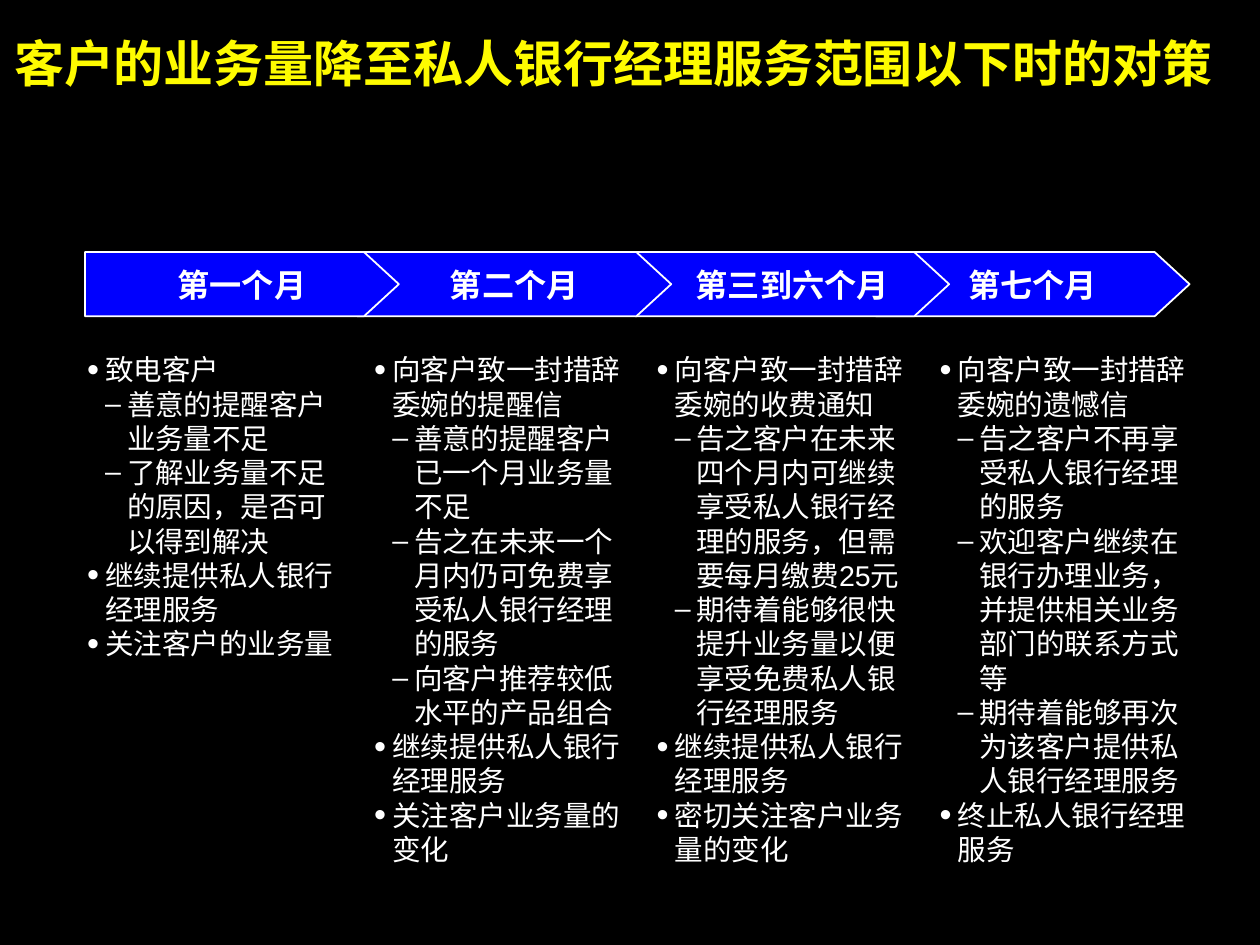
from lxml.etree import SubElement
from pptx import Presentation
from pptx.dml.color import RGBColor as RGB
from pptx.enum.text import MSO_ANCHOR as Anchor, PP_ALIGN as Align
from pptx.oxml.ns import qn
from pptx.util import Cm, Pt

WHITE, BLUE, GOLD, BLACK = "FFFFFF", "0000FE", "FEFB00", "000000"
HEAD = dict(size=Pt(28), bold=True, name="Arial")
STEP = dict(size=Pt(18), bold=True, name="Arial")
BODY = dict(size=Pt(16), bold=False, name="Arial")
FLAT = dict(margin_left=0, margin_top=0, margin_right=0, margin_bottom=0,
            word_wrap=True)
MARKS = {1: ("•", 0.38, -0.36, 120), 2: ("–", 0.81, -0.43, 100)}

TITLE = "客户的业务量降至私人银行经理服务范围以下时的对策"
STAGES = [
    ("第一个月", 1.68, 1.7, [
        (1, "致电客户"),
        (2, "善意的提醒客户业务量不足"),
        (2, "了解业务量不足的原因，是否可以得到解决"),
        (1, "继续提供私人银行经理服务"),
        (1, "关注客户的业务量")]),
    ("第二个月", 7.06, 7.37, [
        (1, "向客户致一封措辞委婉的提醒信"),
        (2, "善意的提醒客户已一个月业务量不足"),
        (2, "告之在未来一个月内仍可免费享受私人银行经理的服务"),
        (2, "向客户推荐较低水平的产品组合"),
        (1, "继续提供私人银行经理服务"),
        (1, "关注客户业务量的变化")]),
    ("第三到六个月", 12.55, 12.95, [
        (1, "向客户致一封措辞委婉的收费通知"),
        (2, "告之客户在未来四个月内可继续享受私人银行经理的服务，但需要每月缴费25元"),
        (2, "期待着能够很快提升业务量以便享受免费私人银行经理服务"),
        (1, "继续提供私人银行经理服务"),
        (1, "密切关注客户业务量的变化")]),
    ("第七个月", 17.3, 18.54, [
        (1, "向客户致一封措辞委婉的遗憾信"),
        (2, "告之客户不再享受私人银行经理的服务"),
        (2, "欢迎客户继续在银行办理业务，并提供相关业务部门的联系方式等"),
        (2, "期待着能够再次为该客户提供私人银行经理服务"),
        (1, "终止私人银行经理服务")]),
]


def tint(part, color):
    """Give a fill a solid colour."""
    part.solid()
    part.fore_color.rgb = RGB.from_string(color)


def apply(part, form):
    """Set each format value on an object."""
    for key, value in form.items():
        setattr(part, key, value)


def write(para, text, form, color):
    """Add a formatted run to a paragraph."""
    run = para.add_run()
    run.text = text
    apply(run.font, form)
    tint(run.font.fill, color)


def mark(para, level):
    """Give a paragraph the bullet and indent of its level."""
    char, left, hang, size = MARKS[level]
    para.level = level
    props = para._p.get_or_add_pPr()
    props.set("marL", str(Cm(left)))
    props.set("indent", str(Cm(hang)))
    color = SubElement(props, qn("a:buClr"))
    SubElement(color, qn("a:srgbClr"), val=WHITE)
    SubElement(props, qn("a:buSzPct"), val=str(size * 1000))
    SubElement(props, qn("a:buFont"), typeface="Arial")
    SubElement(props, qn("a:buChar"), char=char)


def frame(slide, left, top, width, height):
    """Add a text box without margins and return its frame."""
    box = slide.shapes.add_textbox(Cm(left), Cm(top), Cm(width), Cm(height))
    apply(box.text_frame, FLAT)
    return box.text_frame


def column(slide, left, items):
    """Add a bulleted list of actions."""
    body = frame(slide, left, 6.96, 5.11, 10.16)
    for row, (level, text) in enumerate(items):
        para = body.add_paragraph() if row else body.paragraphs[0]
        mark(para, level)
        write(para, text, BODY, WHITE)


def arrow(slide, left, label, top=4.98, width=6.2, height=1.27, tip=0.69):
    """Add a labelled arrow for one stage."""
    right, low = left + width, top + height
    points = [(right - tip, top), (right, top + height / 2),
              (right - tip, low), (left, low)]
    path = slide.shapes.build_freeform(Cm(left), Cm(top))
    path.add_line_segments([(Cm(x), Cm(y)) for x, y in points], close=True)
    shape = path.convert_to_shape()
    shape.shadow.inherit = False
    tint(shape.fill, BLUE)
    tint(shape.line.fill, WHITE)
    shape.line.width = Pt(1)
    apply(shape.text_frame, dict(word_wrap=False, vertical_anchor=Anchor.MIDDLE))
    para = shape.text_frame.paragraphs[0]
    para.alignment = Align.CENTER
    write(para, label, STEP, WHITE)


def main():
    """Build the slide and save it."""
    deck = Presentation()
    apply(deck, dict(slide_width=Cm(24.89), slide_height=Cm(18.67)))
    slide = deck.slides.add_slide(deck.slide_layouts[6])
    tint(slide.background.fill, BLACK)
    head = frame(slide, 0.28, 0.64, 24.16, 1.19)
    write(head.paragraphs[0], TITLE, HEAD, GOLD)
    for label, left, _, _ in reversed(STAGES):
        arrow(slide, left, label)
    for _, _, left, items in STAGES:
        column(slide, left, items)
    deck.save("out.pptx")


if __name__ == "__main__":
    main()
